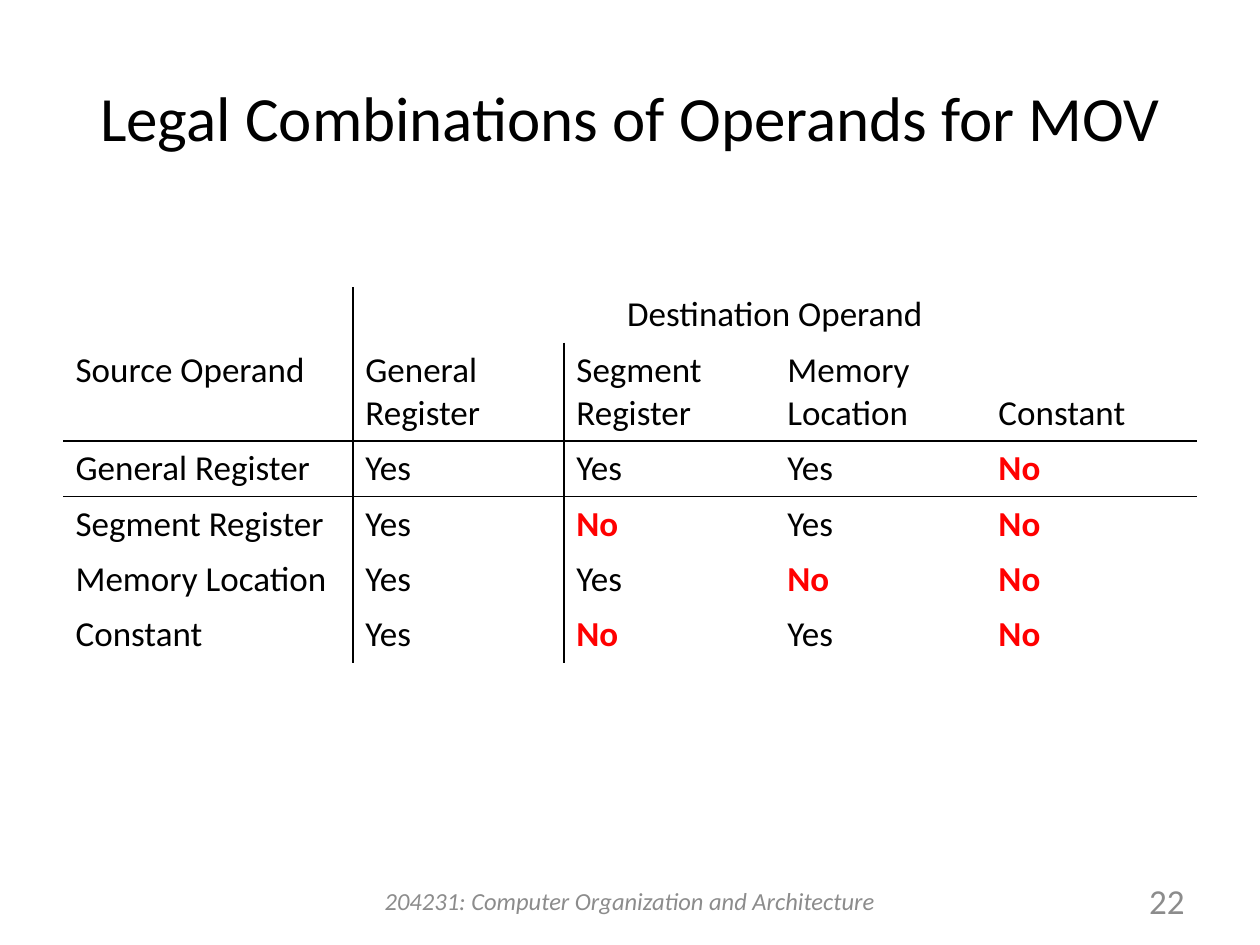
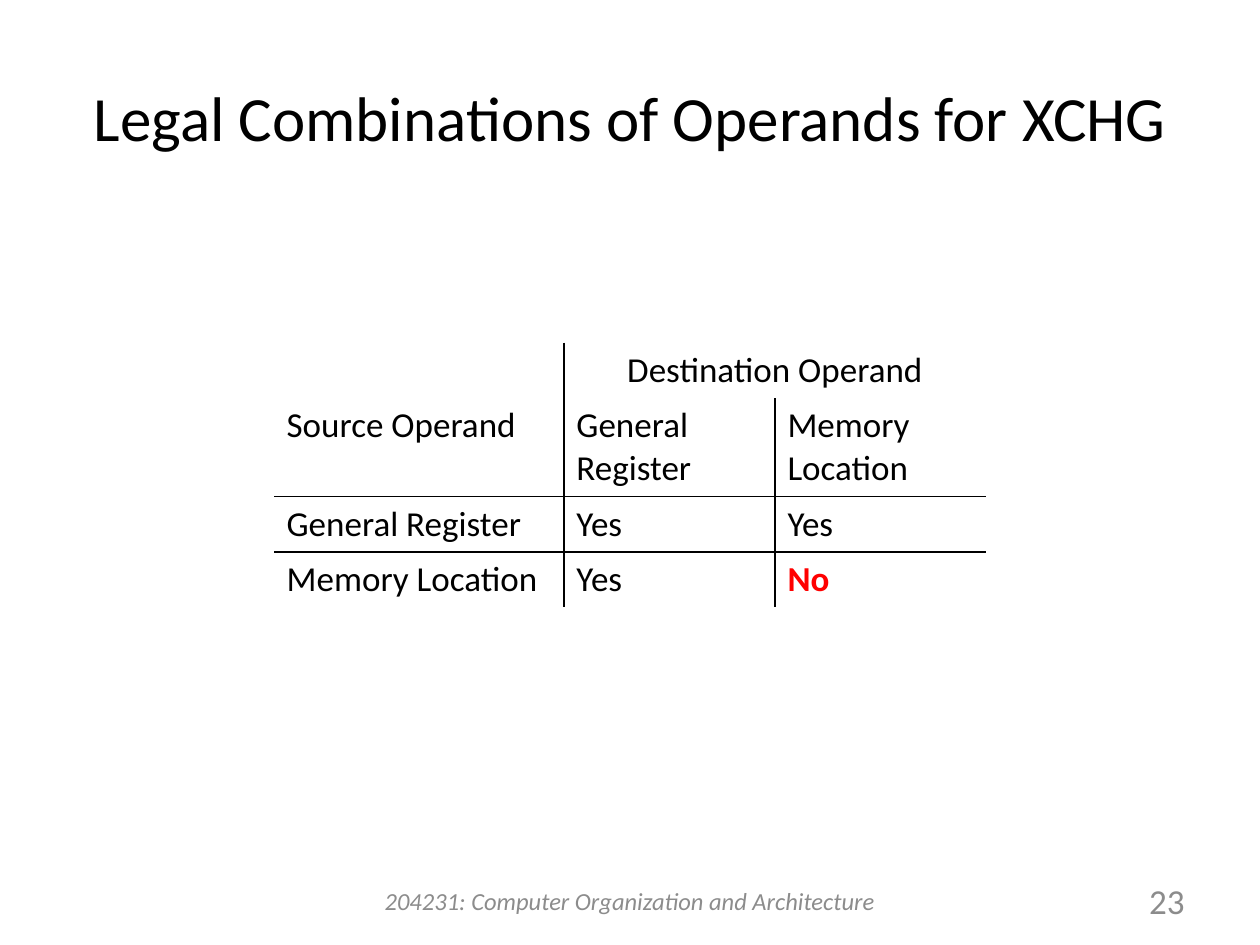
import pptx
import pptx.dml.color
import pptx.enum.text
import pptx.oxml.ns
import pptx.util
from lxml import etree

ANCHOR = pptx.enum.text.MSO_ANCHOR
ALIGN = pptx.enum.text.PP_ALIGN
Inches = pptx.util.Inches

FONT = "Calibri"
INK, WARNING, MUTED = "000000", "FF0000", "8C8C8C"
COURSE = "204231: Computer Organization and Architecture"
CORNER, SPANNING = "Source Operand", "Destination Operand"

LESSONS = [
    {
        "number": 22,
        "instruction": "MOV",
        "top": 2.28,
        "destinations": ["General Register", "Segment Register", "Memory\nLocation", "Constant"],
        "sources": [
            ("General Register", "Yes", "Yes", "Yes", "No"),
            ("Segment Register", "Yes", "No", "Yes", "No"),
            ("Memory Location", "Yes", "Yes", "No", "No"),
            ("Constant", "Yes", "No", "Yes", "No"),
        ],
    },
    {
        "number": 23,
        "instruction": "XCHG",
        "top": 2.72,
        "destinations": ["General Register", "Memory\nLocation"],
        "sources": [
            ("General Register", "Yes", "Yes"),
            ("Memory Location", "Yes", "No"),
        ],
    },
]

SLIDE_W, SLIDE_H = 10, 7.5
MARGIN = 0.05 * SLIDE_W
CONTENT_W = SLIDE_W - 2 * MARGIN
SOURCE_W = 2.3
DESTINATION_W = (CONTENT_W - SOURCE_W) / 4
ROW_H, HEADING_H = 0.44, 0.78
FOOTER_TOP, FOOTER_H = 6.95, 0.4
HEADING_ROWS = 2
RULED_ROWS = (2, 3)     # a horizontal rule runs above these rows
RULED_COLUMNS = (1, 2)  # a vertical rule runs left of these columns


def color(hex_code):
    return pptx.dml.color.RGBColor.from_string(hex_code)


def style(frame, size, ink=INK, align=ALIGN.LEFT, bold=False, italic=False):
    for paragraph in frame.paragraphs:
        paragraph.alignment = align
        for run in paragraph.runs:
            font = run.font
            font.name, font.size = FONT, pptx.util.Pt(size)
            font.bold, font.italic = bold, italic
            font.color.rgb = color(ink)


def add_text(slide, text, left, top, width, height, size, **look):
    box = slide.shapes.add_textbox(*map(Inches, (left, top, width, height)))
    frame = box.text_frame
    frame.word_wrap = True
    frame.vertical_anchor = ANCHOR.MIDDLE
    frame.text = text
    style(frame, size, **look)


def has_vertical_rule(row, column):
    """Tell whether a rule runs left of a column; only the first crosses the spanning row."""
    return column in RULED_COLUMNS and (row > 0 or column == 1)


def set_borders(cell, row, column):
    qn = pptx.oxml.ns.qn
    edges = {
        "L": has_vertical_rule(row, column),
        "R": has_vertical_rule(row, column + 1),
        "T": row in RULED_ROWS,
        "B": row + 1 in RULED_ROWS,
    }
    properties = cell._tc.get_or_add_tcPr()
    for edge, ruled in edges.items():
        line = etree.SubElement(properties, qn("a:ln" + edge), w=str(pptx.util.Pt(1)))
        if ruled:
            fill = etree.SubElement(line, qn("a:solidFill"))
            etree.SubElement(fill, qn("a:srgbClr"), val=INK)
        else:
            etree.SubElement(line, qn("a:noFill"))


def add_operand_table(slide, lesson):
    destinations = lesson["destinations"]
    grid = [
        ["", SPANNING] + [""] * (len(destinations) - 1),
        [CORNER] + destinations,
        *lesson["sources"],
    ]
    widths = [SOURCE_W] + [DESTINATION_W] * len(destinations)
    heights = [ROW_H, HEADING_H] + [ROW_H] * len(lesson["sources"])
    left = (SLIDE_W - sum(widths)) / 2
    table = slide.shapes.add_table(
        len(grid), len(widths),
        *map(Inches, (left, lesson["top"], sum(widths), sum(heights))),
    ).table
    table.first_row = table.horz_banding = False
    for column, width in zip(table.columns, widths):
        column.width = Inches(width)
    for row, height in zip(table.rows, heights):
        row.height = Inches(height)
    table.cell(0, 1).merge(table.cell(0, len(destinations)))

    for r, entries in enumerate(grid):
        for c, entry in enumerate(entries):
            cell = table.cell(r, c)
            set_borders(cell, r, c)
            cell.fill.background()
            if not entry:
                continue
            cell.text_frame.text = entry
            illegal = entry == "No"
            style(cell.text_frame, 20, WARNING if illegal else INK,
                  ALIGN.CENTER if entry == SPANNING else ALIGN.LEFT, bold=illegal)
            if r == HEADING_ROWS - 1 and c > 0:
                cell.vertical_anchor = ANCHOR.BOTTOM


def add_lesson(deck, lesson):
    slide = deck.slides.add_slide(deck.slide_layouts[6])
    add_text(slide, f"Legal Combinations of Operands for {lesson['instruction']}",
             MARGIN, 0.3, CONTENT_W, 1.25, 36, align=ALIGN.CENTER)
    add_operand_table(slide, lesson)
    add_text(slide, COURSE, MARGIN, FOOTER_TOP, CONTENT_W, FOOTER_H, 14,
             ink=MUTED, align=ALIGN.CENTER, italic=True)
    number_w = 2.33
    add_text(slide, str(lesson["number"]), SLIDE_W - MARGIN - number_w, FOOTER_TOP,
             number_w, FOOTER_H, 20, ink=MUTED, align=ALIGN.RIGHT)


def main():
    deck = pptx.Presentation()
    deck.slide_width, deck.slide_height = Inches(SLIDE_W), Inches(SLIDE_H)
    for lesson in LESSONS:
        add_lesson(deck, lesson)
    deck.save("out.pptx")


if __name__ == "__main__":
    main()
